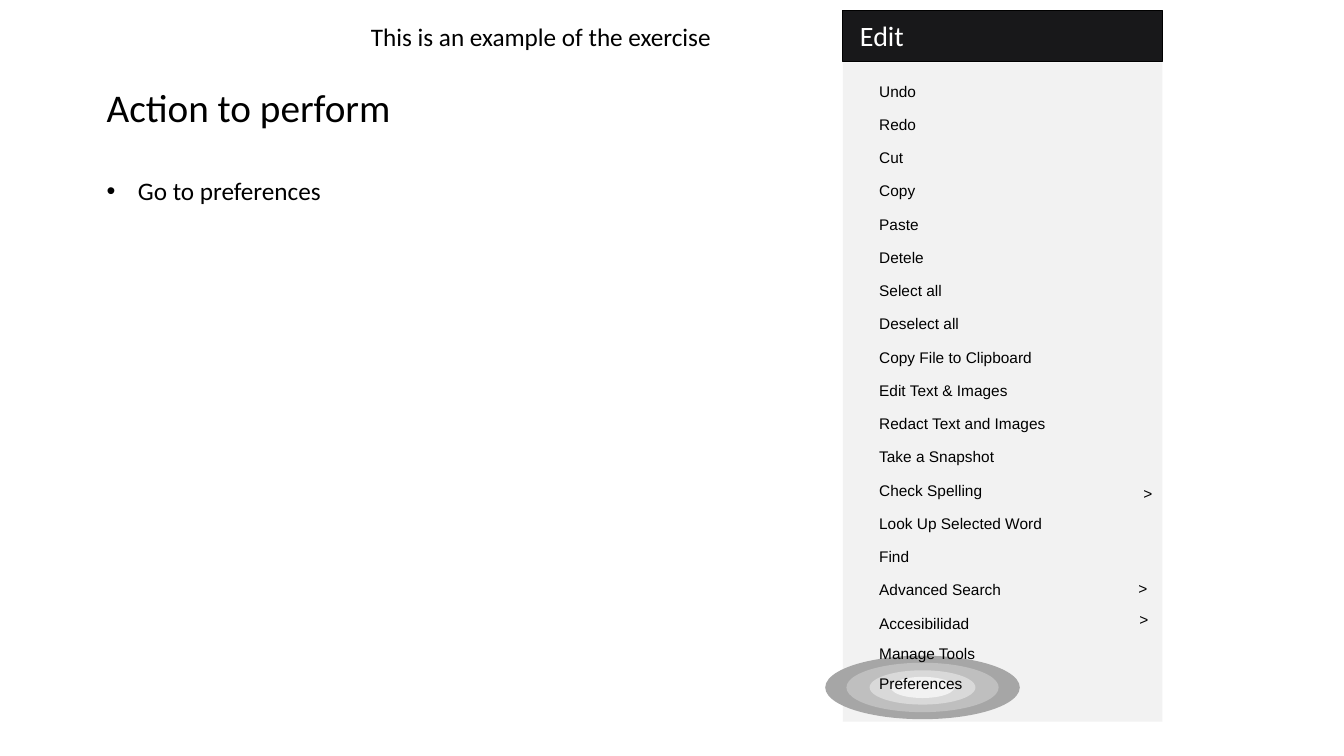
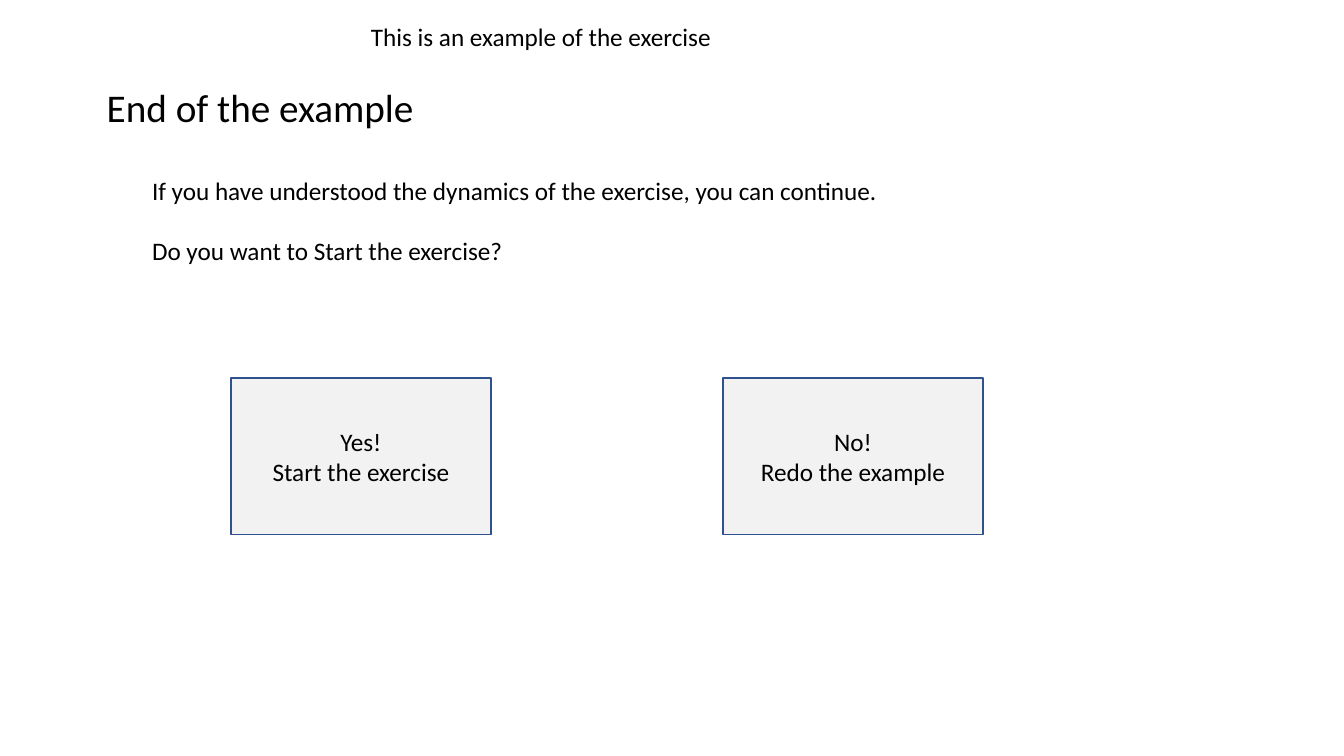
from lxml import etree
from pptx import Presentation
from pptx.dml.color import RGBColor
from pptx.enum.shapes import MSO_SHAPE
from pptx.enum.text import MSO_ANCHOR, MSO_AUTO_SIZE, PP_ALIGN
from pptx.oxml.ns import qn
from pptx.util import Inches, Pt

RECTANGLE, OVAL = MSO_SHAPE.RECTANGLE, MSO_SHAPE.OVAL
LEFT, CENTER = PP_ALIGN.LEFT, PP_ALIGN.CENTER
MIDDLE = MSO_ANCHOR.MIDDLE
GROW = MSO_AUTO_SIZE.SHAPE_TO_FIT_TEXT

BLACK, WHITE, PANEL = "000000", "FFFFFF", "F2F2F2"
HEADER, BUTTON_EDGE = "18181A", "2F528F"
HEADING_FONT, MENU_FONT = "Calibri", "Arial"
BODY_SIZE = 18
BLANK_LINE = 21.5  # points taken by one line of body text

# Menu entries with the width of each label
MENU = [
    ("Undo", 0.37), ("Redo", 0.37), ("Cut", 0.24), ("Copy", 0.36),
    ("Paste", 0.39), ("Detele", 0.45), ("Select all", 0.63),
    ("Deselect all", 0.8), ("Copy File to Clipboard", 1.53),
    ("Edit Text & Images", 1.3), ("Redact Text and Images", 1.68),
    ("Take a Snapshot", 1.17), ("Check Spelling", 1.03),
    ("Look Up Selected Word", 1.63), ("Find", 0.3),
    ("Advanced Search", 1.26), ("Accesibilidad", 0.9),
    ("Manage Tools", 0.98), ("Preferences", 0.83),
]
LABEL_SLACK = 0.03  # keeps each label on one line
ROW_STEP, TIGHT_STEP, TIGHT_FROM = 0.33, 0.3, 16
SUBMENU_MARKS = [(2.98, 4.7), (2.93, 5.64), (2.94, 5.95)]
RINGS = [(1.93, 0.63, "A6A6A6"), (1.51, 0.49, "BFBFBF"),
         (1.05, 0.34, "D9D9D9"), (0.63, 0.21, PANEL)]


def color(value):
    return RGBColor.from_string(value)


def inches(box):
    return [Inches(length) for length in box]


def write(frame, text, size, font=HEADING_FONT, ink=BLACK, align=LEFT):
    frame.text = text
    for paragraph in frame.paragraphs:
        paragraph.alignment = align
        for run in paragraph.runs:
            run.font.size = Pt(size)
            run.font.name = font
            run.font.color.rgb = color(ink)


def add_text(slide, box, text, size=BODY_SIZE, align=LEFT):
    frame = slide.shapes.add_textbox(*inches(box)).text_frame
    frame.word_wrap = True
    frame.auto_size = GROW
    write(frame, text, size, align=align)
    return frame


def add_label(slide, box, text, size=11, font=MENU_FONT, ink=BLACK):
    left, top, width, height = box
    label_box = (left, top, width + LABEL_SLACK, height)
    frame = slide.shapes.add_textbox(*inches(label_box)).text_frame
    frame.margin_left = frame.margin_right = 0
    frame.margin_top = frame.margin_bottom = 0
    frame.word_wrap = False
    frame.auto_size = GROW
    write(frame, text, size, font, ink)


def add_filled(slide, kind, box, fill, edge=None, weight=1):
    shape = slide.shapes.add_shape(kind, *inches(box))
    shape.shadow.inherit = False
    shape.fill.solid()
    shape.fill.fore_color.rgb = color(fill)
    if edge:
        shape.line.color.rgb = color(edge)
        shape.line.width = Pt(weight)
    else:
        shape.line.fill.background()
    return shape


def add_body(slide, box, text):
    frame = add_text(slide, box, text)
    frame.margin_top = Inches(0.05) + Pt(BLANK_LINE)
    return frame


def set_indent(paragraph, margin, first=0, bullet=None):
    properties = paragraph._p.get_or_add_pPr()
    properties.set("marL", str(Inches(margin)))
    properties.set("indent", str(Inches(first)))
    if bullet:
        etree.SubElement(properties, qn("a:buFont")).set("typeface", MENU_FONT)
        etree.SubElement(properties, qn("a:buChar")).set("char", bullet)


def start_slide(deck, title, title_width):
    slide = deck.slides.add_slide(deck.slide_layouts[6])
    add_text(slide, (0, 0.16, 10.73, 0.4),
             "This is an example of the exercise", align=CENTER)
    add_text(slide, (0.96, 0.78, title_width, 0.57), title, 28)
    return slide


def edit_menu(slide, box):
    left, top, width, height = box
    header_height = 0.51
    # Header and panel
    add_filled(slide, RECTANGLE, (left, top, width, header_height),
               HEADER, BLACK, 0.75)
    add_label(slide, (left + 0.17, top + 0.08, 0.44, 0.34), "Edit", 20,
              HEADING_FONT, WHITE)
    add_filled(slide, RECTANGLE, (left, top + header_height + 0.01, width,
                                  height - header_height - 0.01), PANEL)
    # Rings behind the entry to choose
    for ring_width, ring_height, gray in RINGS:
        add_filled(slide, OVAL, (left + 0.79 - ring_width / 2,
                                 top + 6.72 - ring_height / 2,
                                 ring_width, ring_height), gray)
    # Entries and submenu marks
    row_top = top + 0.71
    for row, (entry, entry_width) in enumerate(MENU):
        add_label(slide, (left + 0.36, row_top, entry_width, 0.19), entry)
        row_top += ROW_STEP if row < TIGHT_FROM else TIGHT_STEP
    for mark_left, mark_top in SUBMENU_MARKS:
        add_label(slide, (left + mark_left, top + mark_top, 0.09, 0.19), ">")


def answer_button(slide, box, text):
    button = add_filled(slide, RECTANGLE, box, PANEL, BUTTON_EDGE)
    button.text_frame.vertical_anchor = MIDDLE
    write(button.text_frame, text, BODY_SIZE, align=CENTER)


def action_slide(deck):
    slide = start_slide(deck, "Action to perform", 7.33)
    edit_menu(slide, (8.36, 0.1, 3.17, 7.06))
    action = add_body(slide, (0.96, 1.39, 7.33, 0.71), "Go to preferences")
    set_indent(action.paragraphs[0], 0.31, -0.31, "•")


def ending_slide(deck):
    slide = start_slide(deck, "End of the example", 9.26)
    question = add_body(
        slide, (0.96, 1.39, 10.73, 1.31),
        "If you have understood the dynamics of the exercise, you can continue."
        "\nDo you want to Start the exercise?")
    for paragraph in question.paragraphs:
        set_indent(paragraph, 0.45)
    question.paragraphs[1].space_before = Pt(BLANK_LINE)
    # Answers
    answers = ["Yes!\nStart the exercise", "No!\nRedo the example"]
    for column, answer in enumerate(answers):
        answer_button(slide, (2.29 + 4.88 * column, 3.75, 2.58, 1.55), answer)


deck = Presentation()
deck.slide_width, deck.slide_height = Inches(13.33), Inches(7.5)
action_slide(deck)
ending_slide(deck)
deck.save("out.pptx")
